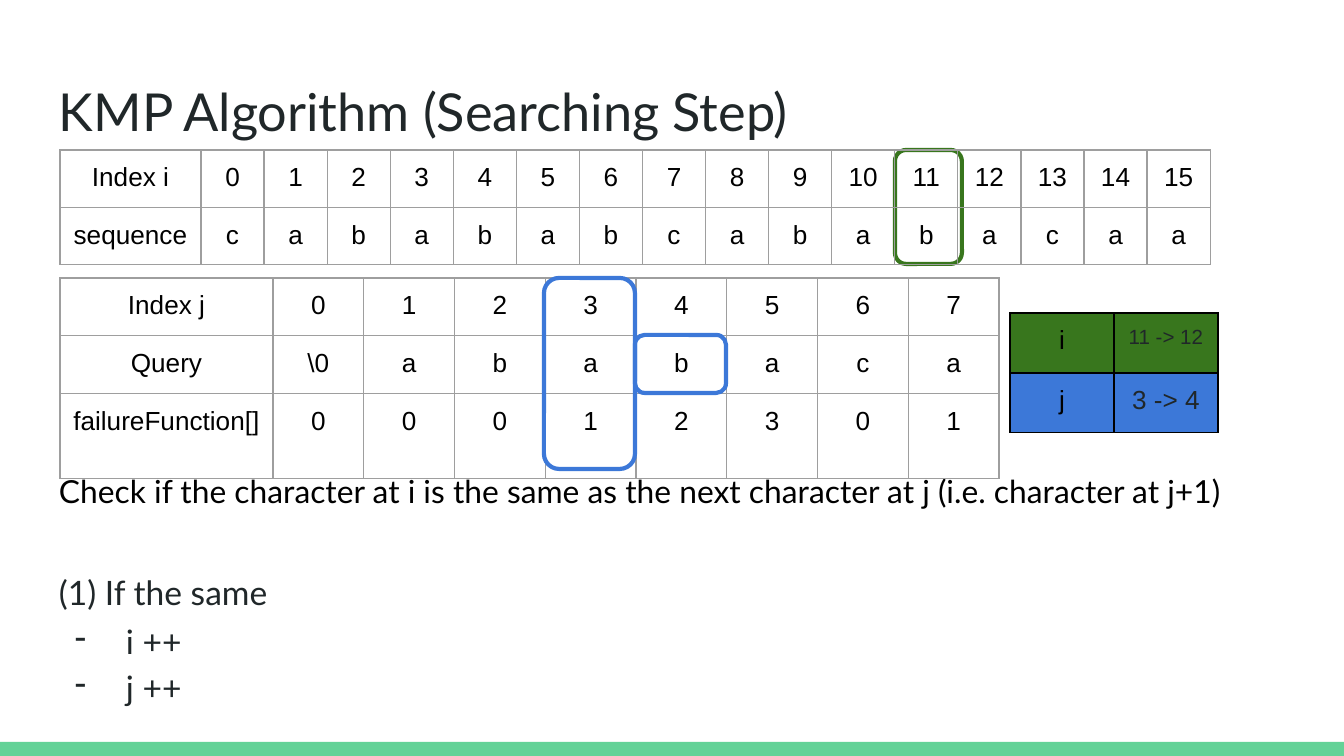
from lxml import etree
from pptx import Presentation
from pptx.dml.color import RGBColor
from pptx.enum.shapes import MSO_SHAPE as SHAPE
from pptx.enum.text import PP_ALIGN as ALIGN
from pptx.oxml.ns import qn
from pptx.util import Pt

PX = 9144000 / 1344  # EMU per px, slide is 1344 px wide
INSET = 13
COLORS = {
    "ink": "202729", "black": "000000", "grid": "9E9E9E",
    "mint": "63D297", "green": "38761D", "blue": "3C78D8",
}
rgb = {name: RGBColor.from_string(value) for name, value in COLORS.items()}

prs = Presentation()
prs.slide_width, prs.slide_height = int(1344 * PX), int(756 * PX)
s = prs.slides.add_slide(prs.slide_layouts[6])


def add_text(x, y, w, h):
    box = s.shapes.add_textbox(*(int(v * PX) for v in (x, y, w, h)))
    tf = box.text_frame
    tf.word_wrap = True
    tf.margin_left = tf.margin_right = tf.margin_top = tf.margin_bottom = int(INSET * PX)
    return tf


def add_grid(x, y, w, first, heights, rows, border):
    n = len(rows[0])
    frame = s.shapes.add_table(len(rows), n, *(int(v * PX) for v in (x, y, w, sum(heights))))
    table = frame.table
    table.first_row = table.horz_banding = False
    for c, column in enumerate(table.columns):
        column.width = int((first if c == 0 else (w - first) / (n - 1)) * PX)
    for r, texts in enumerate(rows):
        table.rows[r].height = int(heights[r] * PX)
        for c, text in enumerate(texts):
            cell = table.cell(r, c)
            cell.margin_left = cell.margin_right = int(INSET * PX)
            cell.margin_top = cell.margin_bottom = int(INSET * PX)
            p = cell.text_frame.paragraphs[0]
            p.text = text
            p.alignment = ALIGN.CENTER
            font = p.runs[0].font
            font.name, font.size, font.color.rgb = "Arial", Pt(14), rgb["black"]
            tc_pr = cell._tc.get_or_add_tcPr()
            for side in ("lnL", "lnR", "lnT", "lnB"):
                ln = etree.SubElement(tc_pr, qn("a:" + side), w=str(Pt(0.75)))
                fill = etree.SubElement(ln, qn("a:solidFill"))
                etree.SubElement(fill, qn("a:srgbClr"), val=COLORS[border])
            cell.fill.background()
    return table


# Footer bar
sp = s.shapes.add_shape(SHAPE.RECTANGLE, 0, int(742 * PX), prs.slide_width, int(14 * PX))
sp.shadow.inherit = False
sp.fill.solid()
sp.fill.fore_color.rgb = rgb["mint"]
sp.line.fill.background()

# Title
p = add_text(46, 66, 1252, 84).paragraphs[0]
p.text = "KMP Algorithm (Searching Step)"
font = p.runs[0].font
font.name, font.size, font.color.rgb = "Lato", Pt(28), rgb["ink"]

# Explanation: text, size, colour, space before, bulleted
lines = [
    ("Check if the character at i is the same as the next character at j "
     "(i.e. character at j+1)", 17, "black", 0, False),
    ("(1) If the same", 18, "ink", 33, False),
    ("i ++", 18, "ink", 5, True),
    ("j ++", 18, "ink", 3, True),
]
tf = add_text(46, 459, 1252, 260)
for i, (text, size, color, before, bulleted) in enumerate(lines):
    p = tf.paragraphs[0] if i == 0 else tf.add_paragraph()
    p.text = text
    p.space_before = Pt(before)
    if bulleted:
        p_pr = p._p.get_or_add_pPr()
        p_pr.set("marL", str(int(67 * PX)))
        p_pr.set("indent", str(int(-51 * PX)))
        bullet_color = etree.SubElement(p_pr, qn("a:buClr"))
        etree.SubElement(bullet_color, qn("a:srgbClr"), val=COLORS[color])
        etree.SubElement(p_pr, qn("a:buChar"), char="-")
    font = p.runs[0].font
    font.name, font.size, font.color.rgb = "Lato", Pt(size), rgb[color]

# Query table with failure function
add_grid(60, 278, 939, 213, [56, 58, 85], [
    ["Index j", *"01234567"],
    ["Query", "\\0", *"ababaca"],
    ["failureFunction[]", *"00012301"],
], "grid")

# Index changes
steps = add_grid(1010, 313, 208, 104, [60, 60], [["i", "11 -> 12"], ["j", "3 -> 4"]], "black")
for r, (color, size) in enumerate([("green", 11), ("blue", 14)]):
    for c in range(2):
        cell = steps.cell(r, c)
        cell.fill.solid()
        cell.fill.fore_color.rgb = rgb[color]
    font = steps.cell(r, 1).text_frame.paragraphs[0].runs[0].font
    font.size, font.color.rgb = Pt(size), rgb["ink"]

# Highlights: sequence at i, query at j, query at j+1
for color, *place in [
    ("green", 895, 150, 67, 114),
    ("blue", 544, 278, 91, 191),
    ("blue", 635, 335, 91, 58),
]:
    sp = s.shapes.add_shape(SHAPE.ROUNDED_RECTANGLE, *(int(v * PX) for v in place))
    sp.shadow.inherit = False
    sp.fill.background()
    sp.line.color.rgb = rgb[color]
    sp.line.width = Pt(2.25)

# Sequence table
add_grid(60, 150, 1151, 141, [56, 56], [
    ["Index i", *(str(i) for i in range(16))],
    ["sequence", *"cabababcababacaa"],
], "grid")

prs.save("out.pptx")
